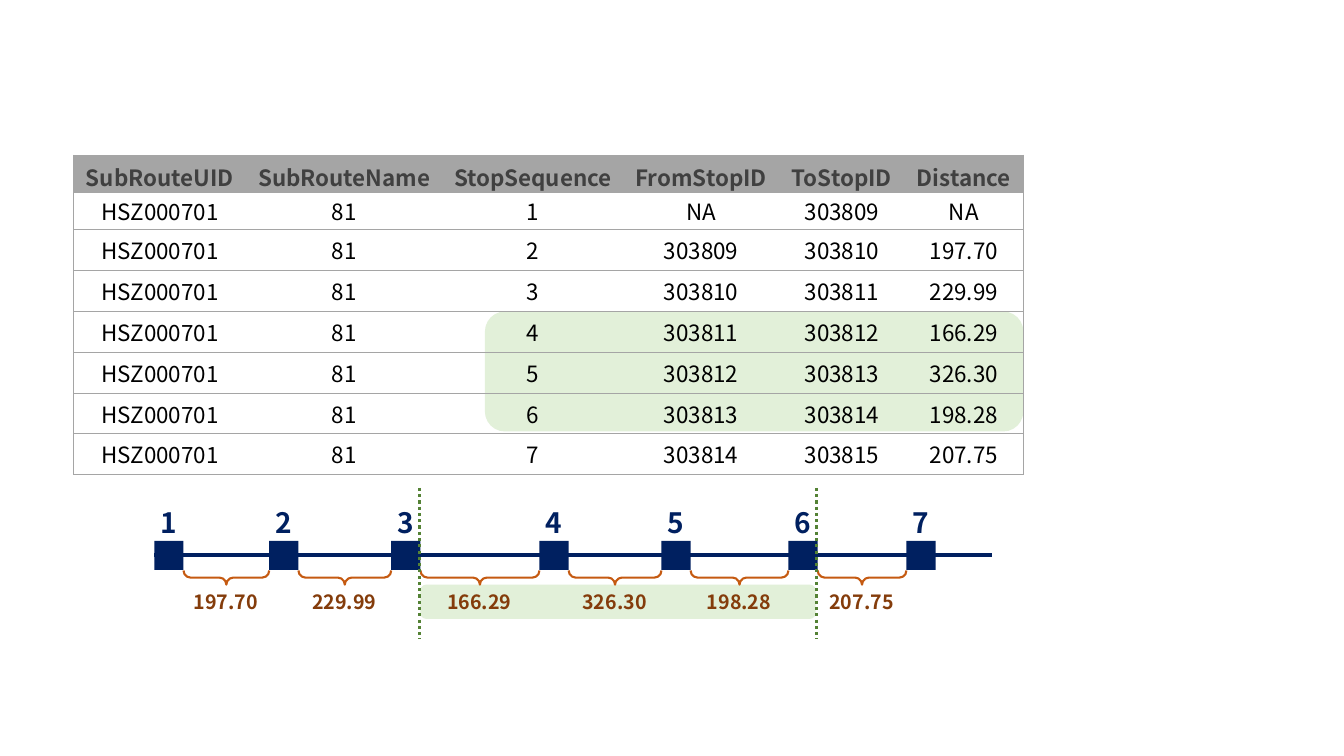
from lxml import etree
from pptx import Presentation
from pptx.dml.color import RGBColor
from pptx.enum.dml import MSO_LINE
from pptx.enum.shapes import MSO_CONNECTOR, MSO_SHAPE
from pptx.enum.text import MSO_ANCHOR, PP_ALIGN
from pptx.oxml.ns import qn
from pptx.util import Inches, Pt

FONT = "Noto Sans CJK SC"
NAVY = RGBColor(0x00, 0x20, 0x60)
PALE_GREEN = RGBColor(0xE2, 0xF0, 0xD9)
GREEN = RGBColor(0x54, 0x82, 0x35)
ORANGE = RGBColor(0xC5, 0x5A, 0x11)
BROWN = RGBColor(0x84, 0x3C, 0x0B)
GREY = RGBColor(0xA5, 0xA5, 0xA5)
DARK_GREY = RGBColor(0x40, 0x40, 0x40)
BLACK = RGBColor(0x00, 0x00, 0x00)
RECTANGLE, ROUNDED, BRACE = MSO_SHAPE.RECTANGLE, MSO_SHAPE.ROUNDED_RECTANGLE, MSO_SHAPE.LEFT_BRACE
STRAIGHT = MSO_CONNECTOR.STRAIGHT
CENTER, MIDDLE = PP_ALIGN.CENTER, MSO_ANCHOR.MIDDLE
DOTTED = MSO_LINE.ROUND_DOT
NO_STYLE = "{2D5ABB26-0587-4C30-8999-92F81FD0307C}"

HEADERS = ["SubRouteUID", "SubRouteName", "StopSequence", "FromStopID", "ToStopID", "Distance"]
DISTANCES = ["197.70", "229.99", "166.29", "326.30", "198.28", "207.75"]
FIRST_STOP_ID = 303809
STOP_LEFTS = [1.53, 2.67, 3.88, 5.35, 6.56, 7.82, 8.99]
STOP_SIZE = 0.29
RAIL_Y = 5.51
COLUMN_WIDTHS = [1.71, 1.95, 1.79, 1.55, 1.24, 1.18]
TABLE_HEIGHT = 3.17
SHORT_ROW = 0.37

deck = Presentation()
deck.slide_width, deck.slide_height = Inches(13.33), Inches(7.5)
page = deck.slides.add_slide(deck.slide_layouts[6])


def add_filled(kind, left, top, width, height, color):
    shape = page.shapes.add_shape(kind, Inches(left), Inches(top), Inches(width), Inches(height))
    shape.shadow.inherit = False
    shape.fill.solid()
    shape.fill.fore_color.rgb = color
    shape.line.fill.background()
    return shape


def add_label(text, left, top, width, height, size, color, wrap):
    box = page.shapes.add_textbox(Inches(left), Inches(top), Inches(width), Inches(height))
    box.text_frame.word_wrap = wrap
    para = box.text_frame.paragraphs[0]
    para.text = text
    para.alignment = CENTER
    para.font.name, para.font.size, para.font.bold = FONT, Pt(size), True
    para.font.color.rgb = color


add_filled(ROUNDED, 4.81, 3.09, 5.34, 1.19, PALE_GREEN)
add_filled(ROUNDED, 4.17, 5.8, 3.92, 0.34, PALE_GREEN)

stops = []
for number, left in enumerate(STOP_LEFTS, 1):
    stops.append(add_filled(RECTANGLE, left, RAIL_Y - STOP_SIZE / 2, STOP_SIZE, STOP_SIZE, NAVY))
    add_label(str(number), left - 0.04, 4.97, 0.37, 0.44, 20, NAVY, False)

for distance, left, next_left in zip(DISTANCES, STOP_LEFTS, STOP_LEFTS[1:]):
    span = next_left - left - STOP_SIZE
    middle = next_left - span / 2
    brace = page.shapes.add_shape(BRACE, Inches(middle - 0.07), Inches(5.73 - span / 2), Inches(0.14), Inches(span))
    brace.shadow.inherit = False
    brace.rotation = 270
    brace.adjustments[0] = 0.49
    brace.fill.background()
    brace.line.color.rgb = ORANGE
    brace.line.width = Pt(1.5)
    add_label(distance, middle - 0.6, 5.8, 1.19, 0.34, 14, BROWN, True)

rail = page.shapes.add_connector(STRAIGHT, Inches(1.53), Inches(RAIL_Y), Inches(9.84), Inches(RAIL_Y))
rail.begin_connect(stops[0], 1)
rail.line.color.rgb = NAVY
rail.line.width = Pt(3)
limits = [page.shapes.add_connector(STRAIGHT, Inches(x), Inches(4.84), Inches(x), Inches(6.34)) for x in (4.16, 8.1)]
for limit in limits:
    limit.line.color.rgb = GREEN
    limit.line.width = Pt(2.25)
    limit.line.dash_style = DOTTED
for line in [rail, *limits]:
    etree.SubElement(line._element.spPr, qn("a:effectLst"))

rows = [HEADERS]
for number, distance in enumerate(["NA"] + DISTANCES, 1):
    to_stop = FIRST_STOP_ID + number - 1
    from_stop = "NA" if number == 1 else str(to_stop - 1)
    rows.append(["HSZ000701", "81", str(number), from_stop, str(to_stop), distance])

frame = page.shapes.add_table(
    len(rows), len(HEADERS), Inches(0.73), Inches(1.54), Inches(sum(COLUMN_WIDTHS)), Inches(TABLE_HEIGHT))
table = frame.table
table.horz_banding = False
table._tbl.tblPr.find(qn("a:tableStyleId")).text = NO_STYLE
for column, width in zip(table.columns, COLUMN_WIDTHS):
    column.width = Inches(width)

for r, values in enumerate(rows):
    tall_row = (TABLE_HEIGHT - 2 * SHORT_ROW) / (len(rows) - 2)
    table.rows[r].height = Inches(SHORT_ROW if r < 2 else tall_row)
    for c, value in enumerate(values):
        cell = table.cell(r, c)
        sides = ["lnL"] * (c == 0) + ["lnR"] * (c == len(HEADERS) - 1) + ["lnT", "lnB"]
        for side in sides:
            border = etree.SubElement(cell._tc.get_or_add_tcPr(), qn("a:" + side), w=str(Pt(0.5)))
            fill = etree.SubElement(border, qn("a:solidFill"))
            etree.SubElement(fill, qn("a:srgbClr"), val=str(GREY))
        para = cell.text_frame.paragraphs[0]
        para.text = value
        para.alignment = CENTER
        para.font.name, para.font.size, para.font.bold = FONT, Pt(16), r == 0
        para.font.color.rgb = DARK_GREY if r == 0 else BLACK
        cell.margin_left = cell.margin_right = Inches(0.05)
        if r == 0:
            cell.fill.solid()
            cell.fill.fore_color.rgb = GREY
            cell.margin_top, cell.margin_bottom = Inches(0.05), 0
        else:
            cell.fill.background()
            cell.vertical_anchor = MIDDLE
            cell.margin_top = cell.margin_bottom = Inches(0.02)

deck.save("out.pptx")
